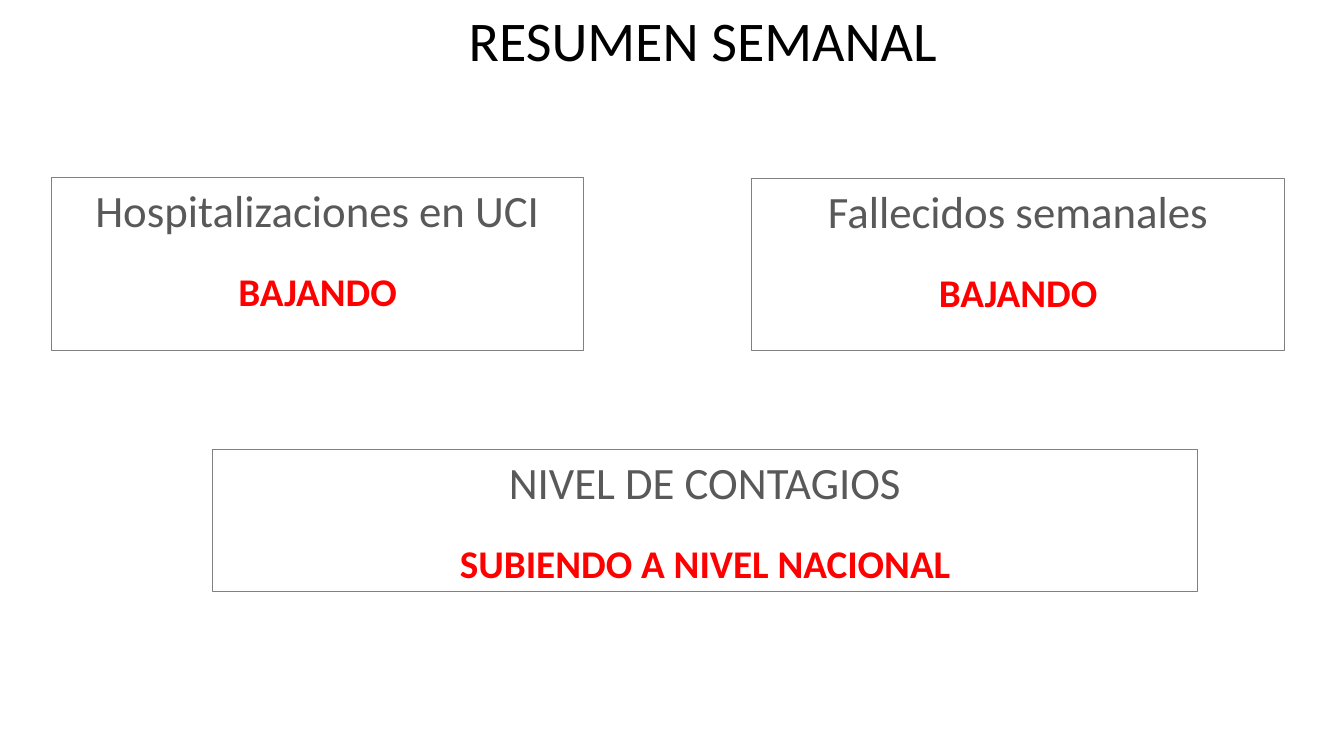
from dataclasses import dataclass

from pptx import Presentation
from pptx.dml.color import RGBColor
from pptx.enum.shapes import MSO_SHAPE
from pptx.enum.text import MSO_ANCHOR, MSO_AUTO_SIZE, PP_ALIGN
from pptx.slide import Slide
from pptx.text.text import TextFrame, _Paragraph
from pptx.util import Pt

FONT = "Calibri"
BOX_WIDTH = 380.2


@dataclass(frozen=True)
class Indicator:
    """A weekly indicator and its trend, with its box in points."""

    name: str
    trend: str
    left: float
    top: float
    width: float
    height: float


INDICATORS = [
    Indicator("Hospitalizaciones en UCI", "BAJANDO", 36.7, 126.7, BOX_WIDTH, 123.8),
    Indicator("Fallecidos semanales", "BAJANDO", 537.1, 127.4, BOX_WIDTH, 123.1),
    Indicator("NIVEL DE CONTAGIOS", "SUBIENDO A NIVEL NACIONAL", 151.9, 321.1, 703.4, 101.5),
]


def color(value: str) -> RGBColor:
    """Turn a hex string into a colour."""
    return RGBColor.from_string(value)


def add_run(paragraph: _Paragraph, text: str, size: float, fill: str, bold: bool = False) -> None:
    """Add one formatted run to a paragraph."""
    run = paragraph.add_run()
    run.text = text
    run.font.name = FONT
    run.font.size = Pt(size)
    run.font.bold = bold
    run.font.color.rgb = color(fill)


def prepare_frame(frame: TextFrame) -> None:
    """Let text wrap from the top of its frame at a fixed size."""
    frame.word_wrap = True
    frame.auto_size = MSO_AUTO_SIZE.NONE
    frame.vertical_anchor = MSO_ANCHOR.TOP


def add_title(slide: Slide, text: str) -> None:
    """Place and fill the title placeholder."""
    title = slide.shapes.title
    title.left, title.top, title.width, title.height = Pt(327.6), Pt(0), Pt(352.1), Pt(55.4)
    prepare_frame(title.text_frame)
    paragraph = title.text_frame.paragraphs[0]
    paragraph.alignment = PP_ALIGN.LEFT
    add_run(paragraph, text, 40, "000000")


def add_indicator(slide: Slide, indicator: Indicator) -> None:
    """Draw an outlined box holding an indicator's name and trend."""
    shape = slide.shapes.add_shape(
        MSO_SHAPE.RECTANGLE,
        Pt(indicator.left), Pt(indicator.top), Pt(indicator.width), Pt(indicator.height),
    )
    shape.shadow.inherit = False
    shape.fill.background()
    shape.line.color.rgb = color("808080")
    shape.line.width = Pt(0.75)
    frame = shape.text_frame
    prepare_frame(frame)
    name = frame.paragraphs[0]
    name.alignment = PP_ALIGN.CENTER
    add_run(name, indicator.name, 32, "595959")
    trend = frame.add_paragraph()
    trend.alignment = PP_ALIGN.CENTER
    trend.space_before = Pt(22)
    add_run(trend, indicator.trend, 28, "FF0000", bold=True)


def main() -> None:
    """Build and save the weekly summary slide."""
    presentation = Presentation()
    presentation.slide_width, presentation.slide_height = Pt(960), Pt(540)
    slide = presentation.slides.add_slide(presentation.slide_layouts.get_by_name("Title Only"))
    add_title(slide, "RESUMEN SEMANAL")
    for indicator in INDICATORS:
        add_indicator(slide, indicator)
    presentation.save("out.pptx")


if __name__ == "__main__":
    main()
